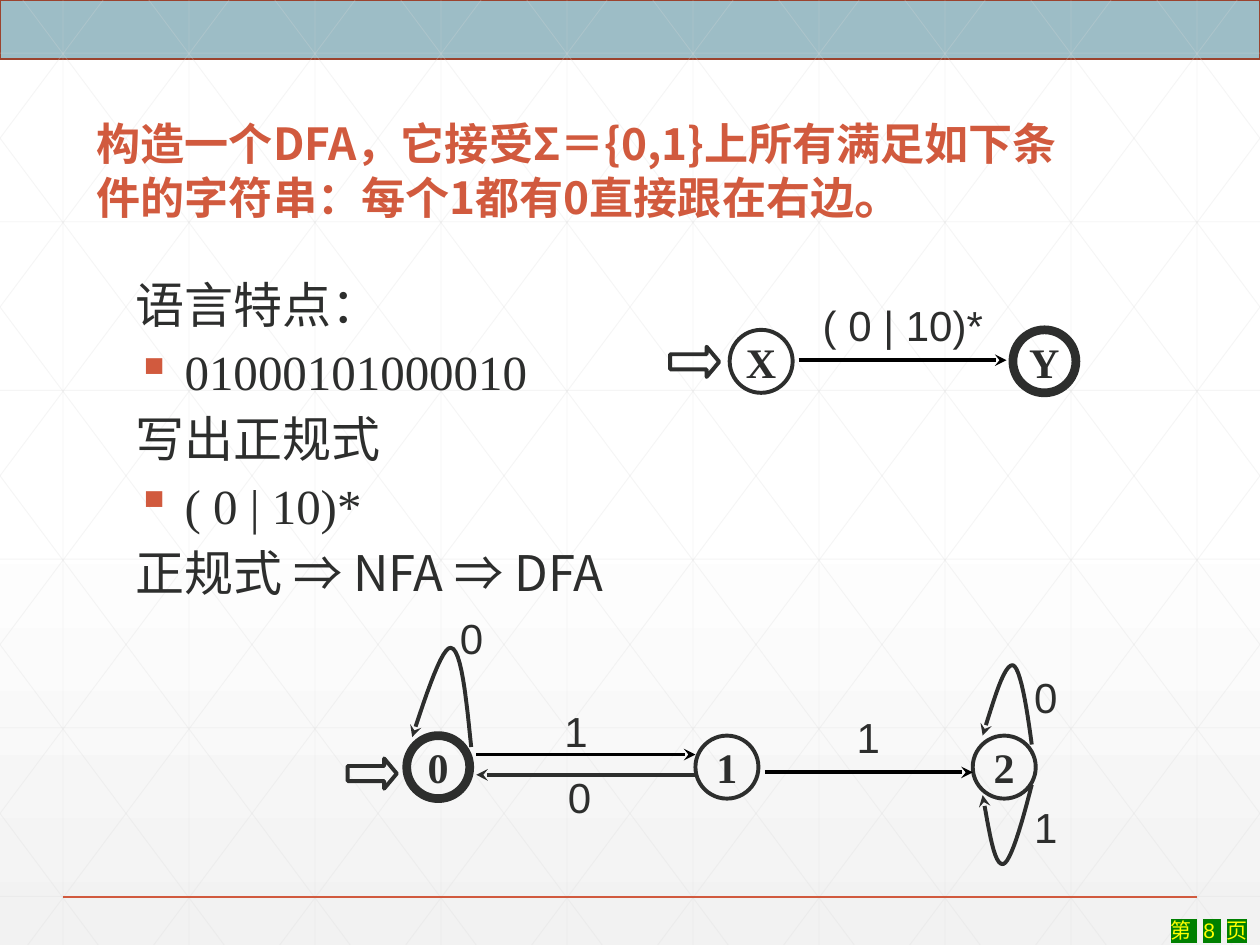
from lxml import etree
from pptx import Presentation
from pptx.dml.color import RGBColor
from pptx.enum.shapes import MSO_CONNECTOR, MSO_SHAPE
from pptx.enum.text import MSO_ANCHOR, PP_ALIGN
from pptx.oxml.ns import qn
from pptx.util import Cm, Pt

STRAIGHT = MSO_CONNECTOR.STRAIGHT
RECTANGLE, OVAL, RIGHT_ARROW = MSO_SHAPE.RECTANGLE, MSO_SHAPE.OVAL, MSO_SHAPE.RIGHT_ARROW
MIDDLE, TOP = MSO_ANCHOR.MIDDLE, MSO_ANCHOR.TOP
LEFT, CENTER, RIGHT = PP_ALIGN.LEFT, PP_ALIGN.CENTER, PP_ALIGN.RIGHT

WIDTH, HEIGHT = 25.4, 19.05
INK, ACCENT, BLACK, GRID = "2D2E2D", "D15A3E", "000000", "D9D9D9"
SANS, SERIF, CHINESE = "Arial", "Times New Roman", "Noto Sans CJK SC"
LABEL_FONT = {"name": SANS, "size": Pt(24)}
STATE_FONT = {"name": SERIF, "size": Pt(24), "bold": True}
TITLE_FONT = {"name": CHINESE, "size": Pt(25.2), "bold": True}
FOOTER_FONT = {"name": SANS, "size": Pt(12)}
STATE_SIZE = 1.27

BODY = [
    ("语言特点：", False),
    (" 01000101000010", True),
    ("写出正规式", False),
    (" ( 0 | 10)*", True),
    ("正规式 ⇒ NFA ⇒ DFA", False),
]
STATES = [
    ("X", 14.71, 6.65, 2.25), ("Y", 20.42, 6.65, 5),
    ("0", 8.2, 14.83, 5), ("1", 14.02, 14.83, 2.25), ("2", 19.61, 14.83, 2.25),
]
START_ARROWS = [(13.51, 6.99), (7.01, 15.29)]
TRANSITIONS = [
    (16.1, 20.29, 7.26, BLACK), (9.6, 14.02, 15.21, BLACK),
    (15.42, 19.61, 15.57, BLACK), (14.02, 9.6, 15.62, INK),
]
LABELS = [
    (" ( 0 | 10)*", 16.1, 5.92, 3.99),
    ("1", 11.13, 14.1, 0.99), ("1", 17.02, 14.22, 0.99),
    ("0", 9.02, 12.22, 0.99), ("0", 11.2, 15.42, 0.99),
    ("0", 20.6, 13.41, 0.99), ("1", 20.6, 16.03, 0.99),
]
# Each loop is two cubic curves: a start point, then three points per curve.
LOOPS = [
    [(9.5, 15.06), (9.4, 14.07), (9.3, 13.08), (9.09, 13.06),
     (8.92, 13.03), (8.61, 13.94), (8.31, 14.86)],
    [(20.8, 15.01), (20.7, 14.25), (20.57, 13.46), (20.42, 13.41),
     (20.24, 13.39), (20.04, 14.1), (19.81, 14.83)],
    [(20.8, 15.82), (20.6, 16.61), (20.37, 17.4), (20.22, 17.42),
     (20.04, 17.45), (19.94, 16.74), (19.81, 16.03)],
]


def color(value):
    return RGBColor.from_string(value)


def style_line(shape, value, points, opacity=None, arrow=False):
    shape.line.color.rgb = color(value)
    shape.line.width = Pt(points)
    line = shape.line._ln
    if opacity is not None:
        tint = line.find(".//" + qn("a:srgbClr"))
        etree.SubElement(tint, qn("a:alpha"), val=str(opacity * 1000))
    if arrow:
        etree.SubElement(line, qn("a:tailEnd"), type="stealth")


def add_line(slide, start, end, value, points, **options):
    connector = slide.shapes.add_connector(STRAIGHT, *map(Cm, start + end))
    style_line(connector, value, points, **options)
    etree.SubElement(connector._element.spPr, qn("a:effectLst"))


def add_outline(slide, kind, box, value, points, fill=None):
    shape = slide.shapes.add_shape(kind, *map(Cm, box))
    shape.shadow.inherit = False
    if fill:
        shape.fill.solid()
        shape.fill.fore_color.rgb = color(fill)
    else:
        shape.fill.background()
    style_line(shape, value, points)
    return shape


def add_run(paragraph, text, value, font):
    run = paragraph.add_run()
    run.text = text
    for name, setting in font.items():
        setattr(run.font, name, setting)
    run.font.color.rgb = color(value)
    latin = run._r.rPr.find(qn("a:latin"))
    latin.addnext(latin.makeelement(qn("a:ea"), typeface=font["name"]))
    return run


def add_text_box(slide, box, wrap=True, anchor=TOP):
    frame = slide.shapes.add_textbox(*map(Cm, box)).text_frame
    frame.word_wrap = wrap
    frame.vertical_anchor = anchor
    return frame


def highlight(run, value):
    marker = etree.Element(qn("a:highlight"))
    etree.SubElement(marker, qn("a:srgbClr"), val=value)
    run._r.rPr.find(qn("a:solidFill")).addnext(marker)


def indent(paragraph, bulleted):
    properties = paragraph._p.get_or_add_pPr()
    margin, hanging = (1.9, -0.5) if bulleted else (1.4, 0)
    properties.set("marL", str(Cm(margin)))
    properties.set("indent", str(Cm(hanging)))
    if bulleted:
        bullet_color = etree.SubElement(properties, qn("a:buClr"))
        etree.SubElement(bullet_color, qn("a:srgbClr"), val=ACCENT)
        etree.SubElement(properties, qn("a:buChar"), char="▪")


def add_background(slide):
    fill = slide.background.fill
    fill.gradient()
    fill.gradient_angle = 270
    for stop, position, value in zip(fill.gradient_stops, (0.53, 1), ("FFFFFF", "F2F2F2")):
        stop.position = position
        stop.color.rgb = color(value)


def add_grid(slide):
    lines = [((1.27 + 2.54 * i, 0), (1.27 + 2.54 * i, HEIGHT)) for i in range(10)]
    lines += [((0, 1.07 + 3.4 * i), (WIDTH, 1.07 + 3.4 * i)) for i in range(6)]
    run = 14.22
    slope = HEIGHT / run
    for i in range(-5, 10):
        origin = 0.46 + 2.54 * i
        left, right = max(origin, 0), min(origin + run, WIDTH)
        top, bottom = (left - origin) * slope, (right - origin) * slope
        lines.append(((left, top), (right, bottom)))
        lines.append(((WIDTH - left, top), (WIDTH - right, bottom)))
    for start, end in lines:
        add_line(slide, start, end, GRID, 0.5, opacity=25)


def add_footer(slide):
    add_line(slide, (1.27, 18.08), (24.13, 18.08), ACCENT, 1)
    paragraph = add_text_box(slide, (22.78, 18.44, 2.62, 0.61), anchor=MIDDLE).paragraphs[0]
    paragraph.alignment = RIGHT
    for text in ("第 ", " ", "8 ", " ", "页"):
        run = add_run(paragraph, text, "FFFF00", FOOTER_FONT)
        if text.strip():
            highlight(run, "008000")


def add_title(slide):
    paragraph = add_text_box(slide, (1.7, 2.54, 20.02, 1.93), anchor=MIDDLE).paragraphs[0]
    paragraph.line_spacing = 0.9
    title = "构造一个DFA，它接受Σ＝{0,1}上所有满足如下条件的字符串：每个1都有0直接跟在右边"
    add_run(paragraph, title, ACCENT, TITLE_FONT)
    add_run(paragraph, "。", ACCENT, {**TITLE_FONT, "size": Pt(28.8)})


def add_body(slide):
    frame = add_text_box(slide, (1.09, 5.54, 22.86, 10.8))
    for index, (text, bulleted) in enumerate(BODY):
        paragraph = frame.add_paragraph() if index else frame.paragraphs[0]
        paragraph.line_spacing = 0.9
        paragraph.space_before = Pt(8)
        indent(paragraph, bulleted)
        add_run(paragraph, text, INK, {"name": SERIF if bulleted else CHINESE, "size": Pt(28)})


def add_state(slide, name, left, top, points):
    state = add_outline(slide, OVAL, (left, top, STATE_SIZE, STATE_SIZE), INK, points)
    frame = state.text_frame
    frame.word_wrap = False
    frame.vertical_anchor = MIDDLE
    frame.paragraphs[0].alignment = CENTER
    add_run(frame.paragraphs[0], name, INK, STATE_FONT)


def curve_points(a, b, c, d, steps=12):
    """Points along a cubic Bézier curve, without its start."""
    for step in range(1, steps + 1):
        t = step / steps
        u = 1 - t
        yield tuple(Cm(u**3 * p + 3 * u * u * t * q + 3 * u * t * t * r + t**3 * s)
                    for p, q, r, s in zip(a, b, c, d))


def add_loop(slide, points):
    builder = slide.shapes.build_freeform(*map(Cm, points[0]))
    for first in (0, 3):
        builder.add_line_segments(curve_points(*points[first:first + 4]), close=False)
    loop = builder.convert_to_shape()
    loop.shadow.inherit = False
    loop.fill.background()
    style_line(loop, INK, 2.25, arrow=True)


def add_automata(slide):
    for left, top in START_ARROWS:
        arrow = add_outline(slide, RIGHT_ARROW, (left, top, 0.99, 0.61), INK, 2.25)
        arrow.adjustments[1] = 0.417
    for state in STATES:
        add_state(slide, *state)
    for start, end, height, value in TRANSITIONS:
        add_line(slide, (start, height), (end, height), value, 2.25, arrow=True)
    for points in LOOPS:
        add_loop(slide, points)
    for text, left, top, width in LABELS:
        frame = add_text_box(slide, (left, top, width, 1.27), wrap=False)
        frame.paragraphs[0].alignment = LEFT
        add_run(frame.paragraphs[0], text, INK, LABEL_FONT)


def main():
    presentation = Presentation()
    presentation.slide_width, presentation.slide_height = Cm(WIDTH), Cm(HEIGHT)
    slide = presentation.slides.add_slide(presentation.slide_layouts[6])
    add_background(slide)
    add_outline(slide, RECTANGLE, (0, 0, WIDTH, 1.19), "9B432E", 1, fill="9DBDC6")
    for add_part in (add_grid, add_footer, add_title, add_body, add_automata):
        add_part(slide)
    presentation.save("out.pptx")


if __name__ == "__main__":
    main()
